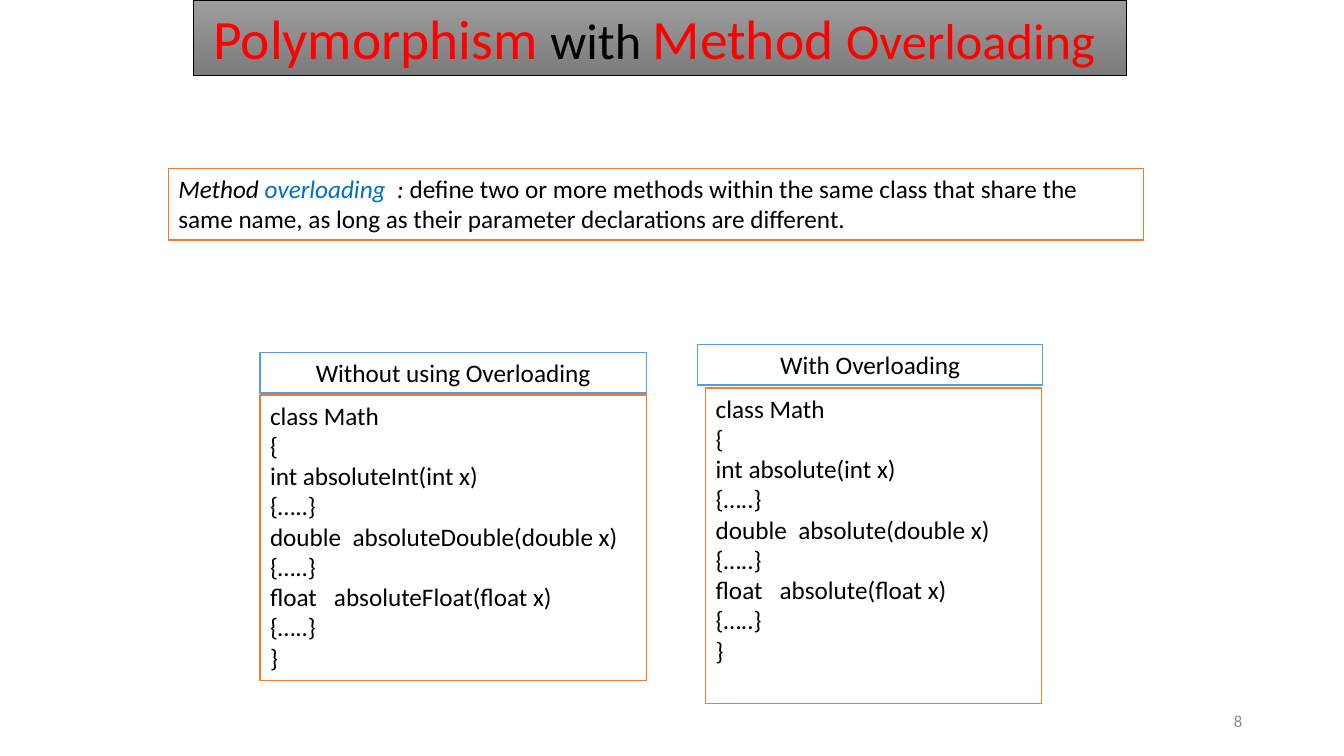
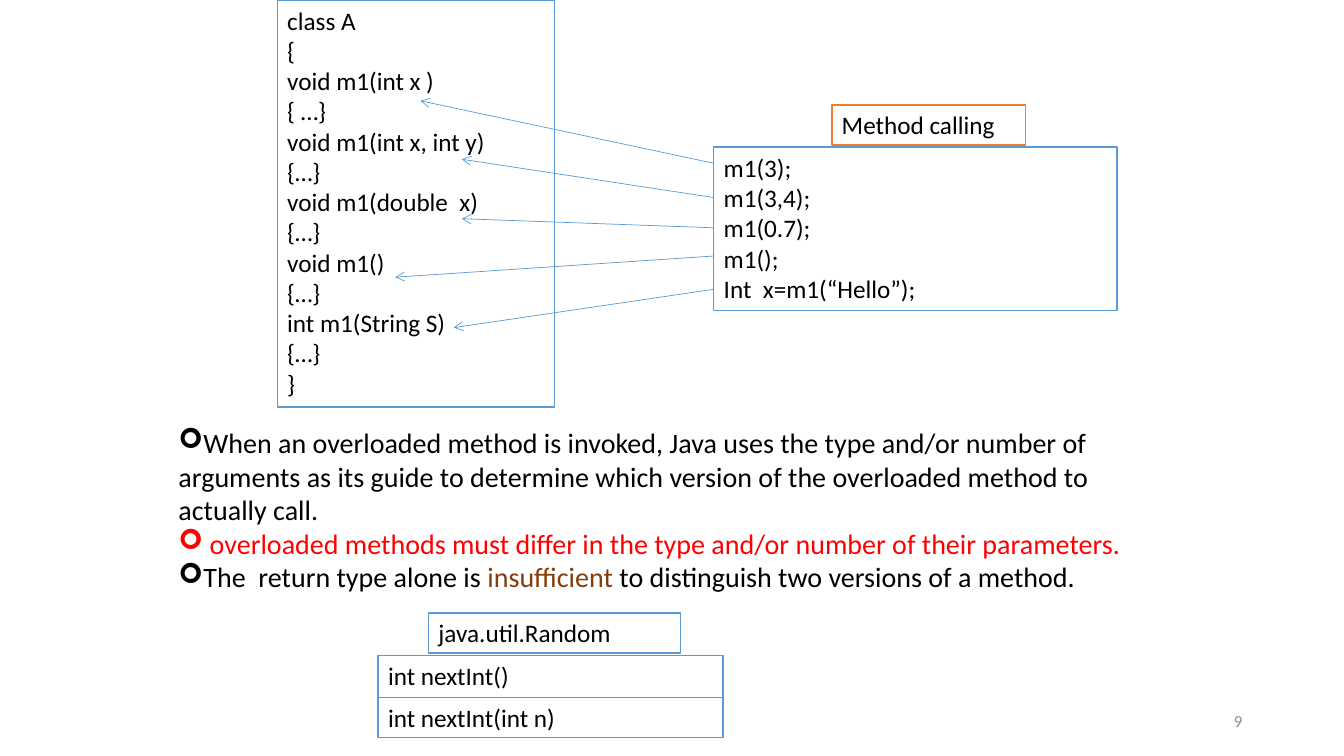
from lxml.etree import SubElement
from pptx import Presentation
from pptx.dml.color import RGBColor
from pptx.enum.shapes import MSO_CONNECTOR as Connector
from pptx.enum.text import MSO_ANCHOR as Anchor, MSO_AUTO_SIZE as AutoSize, PP_ALIGN as Align
from pptx.oxml.ns import qn
from pptx.util import Inches, Pt

COLORS = {"white": "FFFFFF", "black": "000000", "red": "FF0000", "blue": "5B9BD5",
          "orange": "ED7D31", "term": "0070C0", "brown": "843C0B", "gray": "8C8C8C",
          "band_top": "9D9D9D", "band_bottom": "7C7C7C"}
FONT = "Calibri"
BULLET = "➢"

TITLE = [("Polymorphism ", "red", 39.6), ("with ", "black", 36),
         ("Method ", "red", 39.6), ("Overloading ", "red", 36)]
DEFINITION = [("Method ", "black", True), ("overloading", "term", True), ("  : ", "black", True),
              ("define two or more methods within the same class that share the same name, "
               "as long as their parameter declarations are different.", "black", False)]
MATH_CLASSES = [
    {"heading": "Without using Overloading", "suffixes": ("Int", "Double", "Float"),
     "heading_at": (2.58, 3.5, 3.83, 0.4), "code_at": (2.58, 3.92, 3.83, 2.83)},
    {"heading": "With Overloading", "suffixes": ("", "", ""),
     "heading_at": (6.92, 3.42, 3.42, 0.4), "code_at": (7, 3.85, 3.33, 3.13)},
]
MATH_TYPES = ["int ", "double  ", "float   "]

CLASS_A = ["class A", "{", "void m1(int x )", "{ …}", "void m1(int x, int y)", "{…}",
           "void m1(double  x)", "{…}", "void m1()", "{…}", "int m1(String S)", "{…}", "}"]
CALLS = ["m1(3);", "m1(3,4);", "m1(0.7);", "m1();", "Int  x=m1(“Hello”);"]
CALLS_LEFT = 7.08
ARROWS = [(1.62, 4.17, 1), (1.96, 4.58, 1.58), (2.26, 4.58, 2.17),
          (2.54, 3.92, 2.75), (2.87, 4.5, 3.25)]
RULES = [
    [("When an overloaded method is invoked, Java uses the type and/or number of arguments as its "
      "guide to determine which version of the overloaded method to actually call.", "black")],
    [(" overloaded methods must differ in the type and/or number of their parameters.", "red")],
    [("The  return type alone is ", "black"), ("insufficient", "brown"),
     (" to distinguish two versions of a method.", "black")],
]
RANDOM_BOXES = [("java.util.Random", (4.25, 6.08, 2.5, 0.4)),
                ("int nextInt()", (3.75, 6.5, 3.42, 0.42)),
                ("int nextInt(int n)", (3.75, 6.92, 3.42, 0.4))]


def rgb(name):
    return RGBColor.from_string(COLORS[name])


def add_span(para, text, color="black", size=18, italic=False):
    span = para.add_run()
    span.text = text
    span.font.name = FONT
    span.font.size = Pt(size)
    span.font.italic = italic
    span.font.color.rgb = rgb(color)


def place(box, at):
    box.left, box.top, box.width, box.height = map(Inches, at)


def paragraphs(frame, count):
    frame.text = "\n" * (count - 1)
    return frame.paragraphs


def add_box(page, at, lines, border, align=Align.LEFT):
    box = page.shapes.add_textbox(*map(Inches, at))
    box.fill.solid()
    box.fill.fore_color.rgb = rgb("white")
    box.line.color.rgb = rgb(border)
    box.line.width = Pt(1)
    frame = box.text_frame
    frame.word_wrap = True
    for para, spans in zip(paragraphs(frame, len(lines)), lines):
        para.alignment = align
        for span in [(spans,)] if isinstance(spans, str) else spans:
            add_span(para, *span)


def add_number(page, number):
    box = page.shapes.add_textbox(*map(Inches, (9.42, 6.95, 3, 0.4)))
    box.text_frame.vertical_anchor = Anchor.MIDDLE
    box.text_frame.word_wrap = True
    para = box.text_frame.paragraphs[0]
    para.alignment = Align.RIGHT
    add_span(para, str(number), "gray", 12)


def style_title(title):
    place(title, (1.92, 0, 9.25, 0.75))
    title.fill.gradient()
    title.fill.gradient_angle = 270
    for stop, color in zip(title.fill.gradient_stops, ("band_top", "band_bottom")):
        stop.color.rgb = rgb(color)
    title.line.color.rgb = rgb("black")
    title.line.width = Pt(0.5)
    frame = title.text_frame
    frame.auto_size = AutoSize.NONE
    frame.vertical_anchor = Anchor.MIDDLE
    para = frame.paragraphs[0]
    para.alignment = Align.CENTER
    for text, color, size in TITLE:
        add_span(para, text, color, size)


def fill_rules(body):
    place(body, (1.67, 4.17, 10, 1.78))
    body.text_frame.auto_size = AutoSize.NONE
    for para, spans in zip(paragraphs(body.text_frame, len(RULES)), RULES):
        para.space_before = Pt(0)
        props = para._p.get_or_add_pPr()
        props.set("marL", "0")
        props.set("indent", "0")
        SubElement(props, qn("a:buFont")).set("typeface", "Wingdings")
        SubElement(props, qn("a:buChar")).set("char", BULLET)
        for text, color in spans:
            add_span(para, text, color, 20)


def add_arrow(page, start_y, end_x, end_y):
    arrow = page.shapes.add_connector(
        Connector.STRAIGHT, *map(Inches, (CALLS_LEFT, start_y, end_x, end_y)))
    arrow.line.color.rgb = rgb("blue")
    arrow.line.width = Pt(0.5)
    SubElement(arrow.line._get_or_add_ln(), qn("a:tailEnd")).set("type", "arrow")
    SubElement(arrow._element.spPr, qn("a:effectLst"))


def math_code(suffixes):
    lines = ["class Math", "{"]
    for kind, suffix in zip(MATH_TYPES, suffixes):
        lines += [f"{kind}absolute{suffix}({kind.strip()} x)", "{…..}"]
    return lines + ["}"]


def build_overloading(deck):
    page = deck.slides.add_slide(deck.slide_layouts[5])
    style_title(page.shapes.title)
    add_number(page, 8)
    definition = [(text, color, 18, italic) for text, color, italic in DEFINITION]
    add_box(page, (1.67, 1.67, 9.67, 0.71), [definition], "orange")
    for sample in MATH_CLASSES:
        add_box(page, sample["heading_at"], [sample["heading"]], "blue", Align.CENTER)
        add_box(page, sample["code_at"], math_code(sample["suffixes"]), "orange")


def build_calls(deck):
    page = deck.slides.add_slide(deck.slide_layouts[1])
    title = page.shapes.title._element
    title.getparent().remove(title)
    fill_rules(page.placeholders[1])
    add_number(page, 9)
    add_box(page, (2.75, 0, 2.75, 4.04), CLASS_A, "blue")
    add_box(page, (CALLS_LEFT, 1.46, 4, 1.62), CALLS, "blue")
    for arrow in ARROWS:
        add_arrow(page, *arrow)
    add_box(page, (8.25, 1.04, 1.92, 0.4), ["Method calling"], "orange")
    for text, at in RANDOM_BOXES:
        add_box(page, at, [text], "blue")


def main():
    deck = Presentation()
    deck.slide_width, deck.slide_height = Inches(13.33), Inches(7.5)
    build_overloading(deck)
    build_calls(deck)
    deck.save("out.pptx")


if __name__ == "__main__":
    main()
